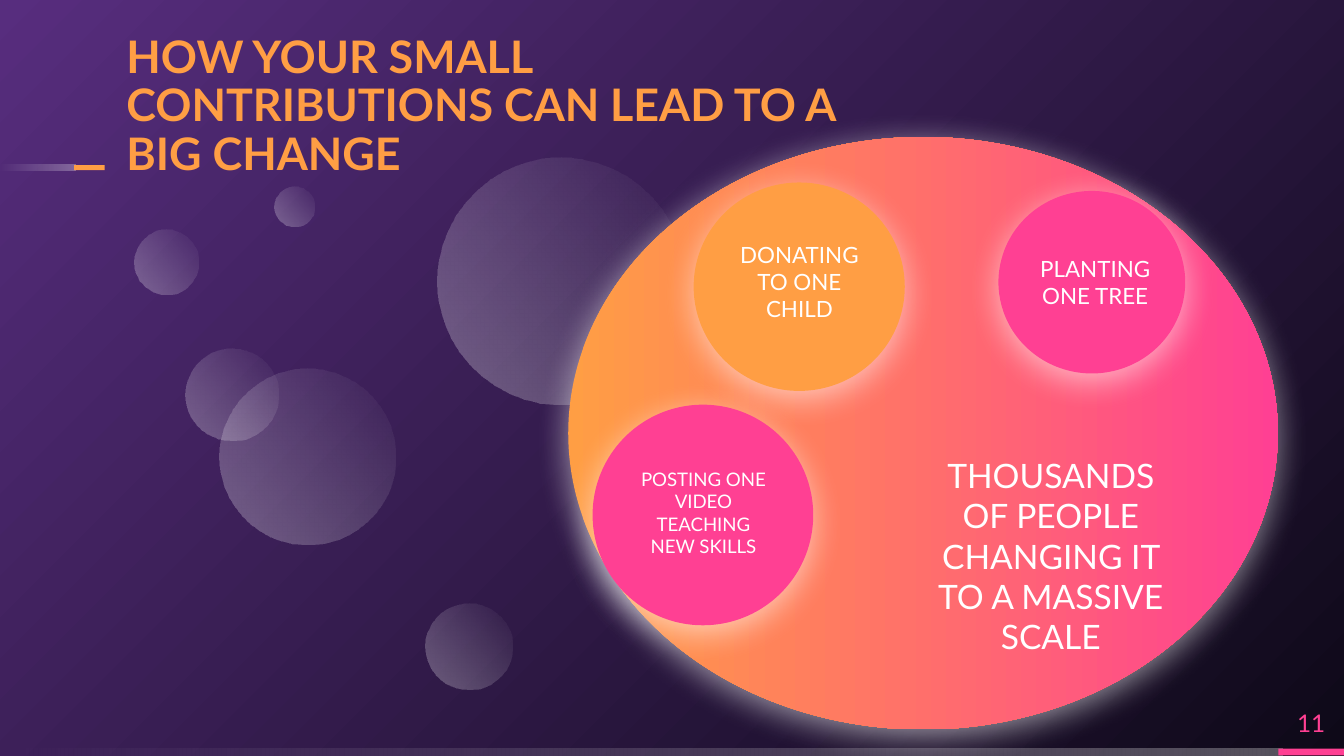
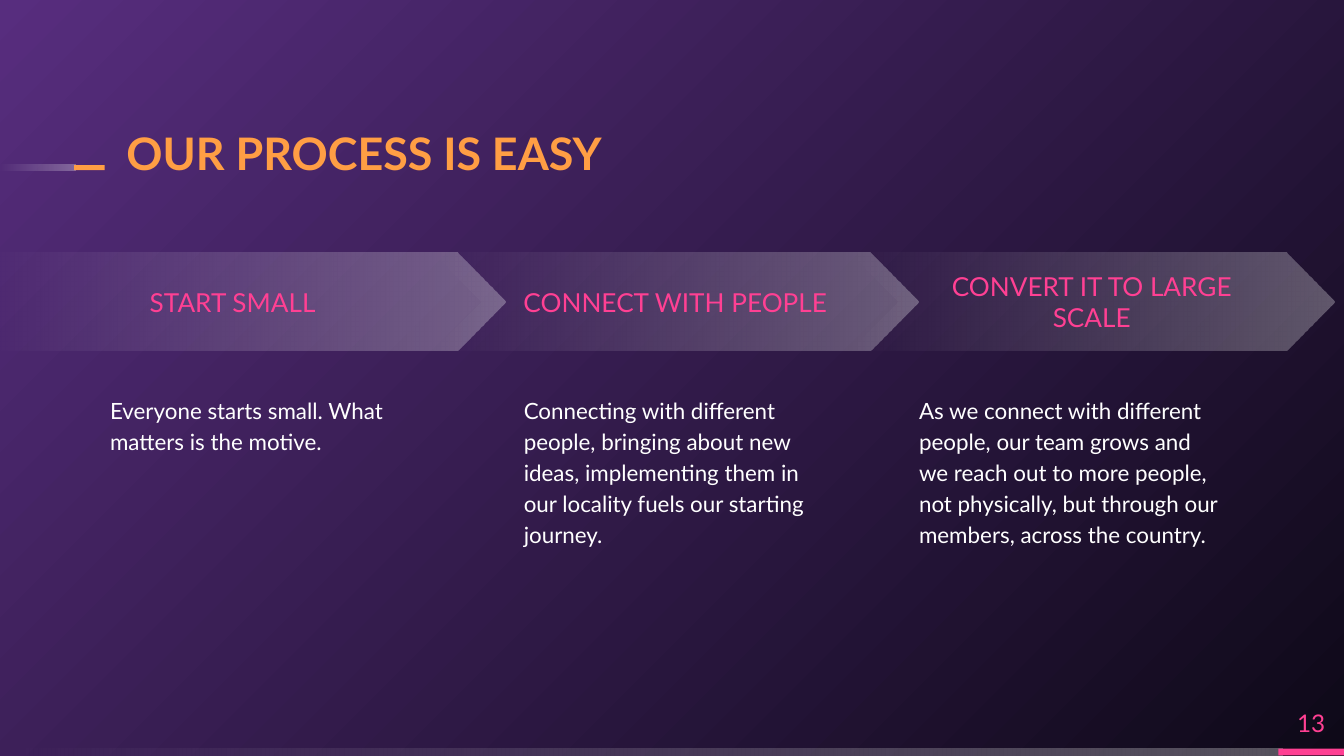
"""Build two slides on how small contributions grow."""
from pptx import Presentation
from pptx.dml.color import RGBColor
from pptx.enum.shapes import MSO_SHAPE as Preset
from pptx.enum.text import MSO_ANCHOR as Anchor, MSO_AUTO_SIZE as AutoSize, PP_ALIGN as Align
from pptx.oxml import parse_xml
from pptx.oxml.ns import nsdecls, qn
from pptx.util import Cm, Pt

FONT = "Lato"
ORANGE, PINK, WHITE = "FF9E44", "FF4093", "FFFFFF"
BACKDROP = [("572D7E", 100), ("0E0918", 100)]
SUNSET = [(ORANGE, 100), (PINK, 100)]
FADE = [(WHITE, 30), (WHITE, 0)]
INSET = 0.25

CHANGE_TITLE = "HOW YOUR SMALL CONTRIBUTIONS CAN LEAD TO A BIG CHANGE"
BUBBLES = [
    (8.05, 11.4, 1.63), (2.54, 4.34, 1.22), (4.14, 6.96, 3.33),
    (8.26, 2.97, 4.67), (3.51, 6.58, 1.75), (5.18, 3.53, 0.76),
]
CIRCLES = [
    ("THOUSANDS OF PEOPLE CHANGING IT TO A MASSIVE SCALE", 18, SUNSET,
     (10.74, 2.59, 13.41, 11.2), (17.27, 8.89, 5.18, 3.23)),
    ("DONATING TO ONE CHILD", 12, ORANGE,
     (13.11, 3.45, 3.99, 3.94), (13.41, 4.01, 3.4, 2.62)),
    ("POSTING ONE VIDEO TEACHING NEW SKILLS", 10, PINK,
     (11.2, 7.65, 4.17, 4.17), (11.81, 8.38, 2.97, 2.62)),
    ("PLANTING ONE TREE", 12, PINK,
     (18.87, 3.61, 3.53, 3.45), (19.2, 4.39, 3, 1.9)),
]

PROCESS_TITLE = "OUR PROCESS IS EASY"
STEPS = [
    ("START SMALL", "Everyone starts small. What matters is the motive.",
     Preset.PENTAGON, -0.3, 9.86, 1.83),
    ("CONNECT WITH PEOPLE",
     "Connecting with different people, bringing about new ideas, "
     "implementing them in our locality fuels our starting journey.",
     Preset.CHEVRON, 8.18, 9.17, 9.65),
    ("CONVERT IT TO LARGE SCALE",
     "As we connect with different people, our team grows and we reach out to more people, "
     "not physically, but through our members, across the country.",
     Preset.CHEVRON, 16.05, 9.17, 17.12),
]


def color(code):
    return RGBColor.from_string(code)


def set_gradient(parent, stops, direction):
    """Swap the solid fill of an element for a two-stop gradient."""
    marks = "".join(
        f'<a:gs pos="{place}"><a:srgbClr val="{code}"><a:alpha val="{alpha * 1000}"/></a:srgbClr></a:gs>'
        for place, (code, alpha) in zip((0, 100000), stops))
    gradient = parse_xml(
        f'<a:gradFill {nsdecls("a")}><a:gsLst>{marks}</a:gsLst>{direction}</a:gradFill>')
    parent.replace(parent.find(qn("a:solidFill")), gradient)


def add_shape(shapes, preset, place, fill, angle=0):
    """Add a borderless shape with a plain or gradient fill."""
    shape = shapes.add_shape(preset, *map(Cm, place))
    shape.shadow.inherit = False
    shape.line.fill.background()
    shape.fill.solid()
    if isinstance(fill, str):
        shape.fill.fore_color.rgb = color(fill)
    else:
        set_gradient(shape._element.spPr, fill, f'<a:lin ang="{angle * 60000}" scaled="0"/>')
    return shape


def add_glow(shape):
    """Give a shape a soft white shadow."""
    effects = shape._element.spPr.find(qn("a:effectLst"))
    effects.append(parse_xml(
        f'<a:outerShdw {nsdecls("a")} blurRad="{Pt(18)}" dist="{Pt(4)}" dir="5400000" '
        f'algn="bl" rotWithShape="0"><a:srgbClr val="{WHITE}"><a:alpha val="55000"/>'
        '</a:srgbClr></a:outerShdw>'))


def write(box, text, size, code, align=Align.CENTER, anchor=Anchor.MIDDLE,
          inset=INSET, spacing=None, bold=False):
    """Fill a box with one formatted paragraph."""
    frame = box.text_frame
    frame.word_wrap = True
    frame.auto_size = AutoSize.NONE
    frame.vertical_anchor = anchor
    frame.margin_left = frame.margin_right = frame.margin_top = frame.margin_bottom = Cm(inset)
    para = frame.paragraphs[0]
    para.text = text
    para.alignment = align
    para.line_spacing = spacing
    para.font.name, para.font.size, para.font.bold = FONT, Pt(size), bold
    para.font.color.rgb = color(code)


def add_text(page, place, *args, **options):
    write(page.shapes.add_textbox(*map(Cm, place)), *args, **options)


def add_page(deck, title, number):
    """Add a page with its bands, accent, title and number."""
    page = deck.slides.add_slide(deck.slide_layouts[5])
    add_shape(page.shapes, Preset.RECTANGLE, (0, 14.15, 24.23, 0.13), FADE, 180)
    add_shape(page.shapes, Preset.RECTANGLE, (24.16, 14.15, 1.24, 0.13), PINK)
    accent = page.shapes.add_group_shape().shapes
    add_shape(accent, Preset.RECTANGLE, (0, 3.12, 1.42, 0.1), FADE, 180)
    add_shape(accent, Preset.RECTANGLE, (1.4, 3.12, 0.58, 0.1), ORANGE)
    heading = page.shapes.title
    heading.left, heading.top, heading.width, heading.height = map(Cm, (2.39, 2.31, 14.73, 1.09))
    write(heading, title, 24, ORANGE, Align.LEFT, Anchor.BOTTOM, 0, 0.9, True)
    add_text(page, (24.16, 13.18, 1.24, 0.97), str(number), 13, PINK, inset=0)
    return page


def build_change(deck):
    """Show small circles inside one large circle."""
    page = add_page(deck, CHANGE_TITLE, 11)
    bubbles = page.shapes.add_group_shape().shapes
    for left, top, size in BUBBLES:
        add_shape(bubbles, Preset.OVAL, (left, top, size, size), FADE, 70).rotation = 250
    for label, size, fill, place, label_place in CIRCLES:
        add_glow(add_shape(page.shapes, Preset.OVAL, place, fill))
        add_text(page, label_place, label, size, WHITE)


def build_process(deck):
    """Show the steps as arrows with a text under each."""
    page = add_page(deck, PROCESS_TITLE, 13)
    for name, detail, preset, left, width, detail_left in STEPS:
        arrow = add_shape(page.shapes, preset, (left, 4.78, width, 1.85), FADE, 180)
        write(arrow, name, 14, PINK)
        add_text(page, (detail_left, 7.19, 6.2, 5), detail, 12, WHITE,
                 Align.LEFT, Anchor.TOP, spacing=1.15)


def main():
    deck = Presentation()
    deck.slide_width, deck.slide_height = Cm(25.4), Cm(14.29)
    master = deck.slide_master
    master.background.fill.solid()
    set_gradient(master.element.find(f'.//{qn("p:bgPr")}'), BACKDROP,
                 '<a:path path="circle"><a:fillToRect r="100000" b="100000"/></a:path>')
    build_change(deck)
    build_process(deck)
    deck.save("out.pptx")


if __name__ == "__main__":
    main()
